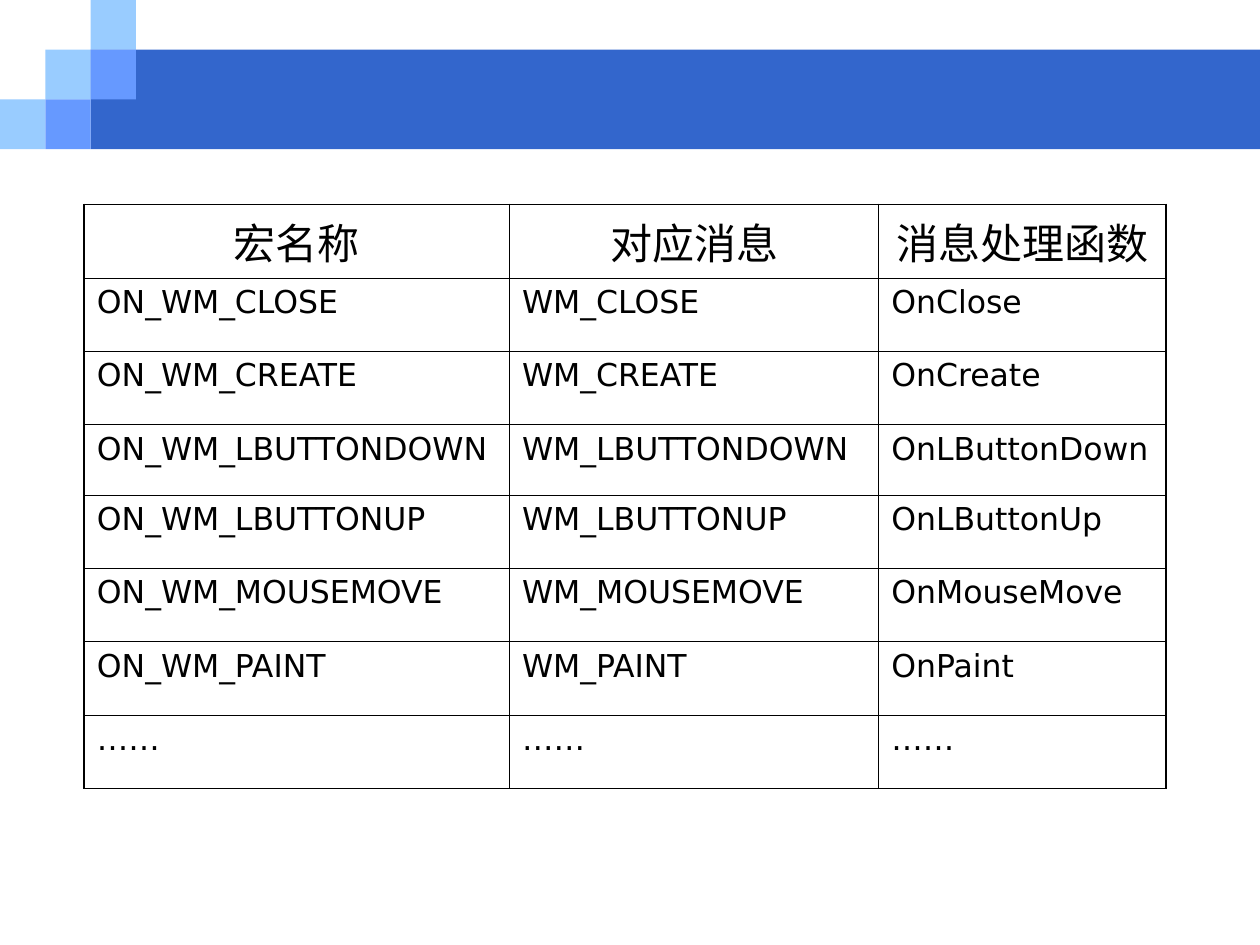
import pptx
import pptx.dml.color
import pptx.enum.shapes
import pptx.enum.text
import pptx.oxml
import pptx.oxml.ns
import pptx.util

Pt = pptx.util.Pt
COLORS = {
    "bar": "3366CC",
    "light": "99CCFF",
    "middle": "6699FF",
    "paper": "FFFFFF",
    "ink": "000000",
}
TILE_WIDTH, TILE_HEIGHT = 25.9, 28.4
THIN, THICK = 0.45, 1.08
COLUMN_WIDTHS = [243, 211, 164.1]
ROW_HEIGHTS = [40.2, 41.9, 41.9, 40.2] + [41.9] * 4
HEADER = ["宏名称", "对应消息", "消息处理函数"]
HANDLERS = ["Close", "Create", "LButtonDown", "LButtonUp", "MouseMove", "Paint"]


class SlideBuilder:
    def __init__(self, slide, font_name):
        self.slide = slide
        self.font_name = font_name

    def color(self, name):
        return pptx.dml.color.RGBColor.from_string(COLORS[name])

    def rectangle(self, left, top, width, height, fill):
        shape = self.slide.shapes.add_shape(
            pptx.enum.shapes.MSO_SHAPE.RECTANGLE,
            Pt(left), Pt(top), Pt(width), Pt(height),
        )
        shape.shadow.inherit = False
        shape.fill.solid()
        shape.fill.fore_color.rgb = self.color(fill)
        shape.line.fill.background()

    def borders(self, cell, widths):
        properties = cell._tc.get_or_add_tcPr()
        namespace = pptx.oxml.ns.nsdecls("a")
        for index, (side, width) in enumerate(widths.items()):
            border = pptx.oxml.parse_xml(
                f'<a:ln{side} {namespace} w="{Pt(width)}"><a:solidFill>'
                f'<a:srgbClr val="{COLORS["ink"]}"/></a:solidFill></a:ln{side}>'
            )
            properties.insert(index, border)

    def cell(self, cell, text, size, alignment):
        cell.fill.solid()
        cell.fill.fore_color.rgb = self.color("paper")
        cell.text_frame.text = text
        paragraph = cell.text_frame.paragraphs[0]
        paragraph.alignment = alignment
        for run in paragraph.runs:
            run.font.name = self.font_name
            run.font.size = Pt(size)
            run.font.color.rgb = self.color("ink")

    def table(self, left, top, column_widths, row_heights, rows):
        shape = self.slide.shapes.add_table(
            len(rows), len(column_widths), Pt(left), Pt(top),
            Pt(sum(column_widths)), Pt(sum(row_heights)),
        )
        table = shape.table
        table.first_row = False
        table.horz_banding = False
        for column, width in zip(table.columns, column_widths):
            column.width = Pt(width)
        for row, height in zip(table.rows, row_heights):
            row.height = Pt(height)
        last_row, last_column = len(rows) - 1, len(column_widths) - 1
        align = pptx.enum.text.PP_ALIGN
        for r, texts in enumerate(rows):
            size, alignment = (18, align.LEFT) if r else (24, align.CENTER)
            for c, text in enumerate(texts):
                cell = table.cell(r, c)
                self.cell(cell, text, size, alignment)
                self.borders(cell, {
                    "L": THICK if c == 0 else THIN,
                    "R": THICK if c == last_column else THIN,
                    "T": THICK if r == 0 else THIN,
                    "B": THICK if r == last_row else THIN,
                })


def main():
    presentation = pptx.Presentation()
    presentation.slide_width = Pt(720)
    presentation.slide_height = Pt(540)
    slide = presentation.slides.add_slide(presentation.slide_layouts[6])
    builder = SlideBuilder(slide, "DejaVu Sans")

    bar_left = 2 * TILE_WIDTH
    builder.rectangle(bar_left, TILE_HEIGHT, 720 - bar_left, 2 * TILE_HEIGHT, "bar")
    tiles = [(0, 2, "light"), (1, 1, "light"), (2, 0, "light"),
             (2, 1, "middle"), (1, 2, "middle")]
    for column, row, fill in tiles:
        builder.rectangle(column * TILE_WIDTH, row * TILE_HEIGHT,
                          TILE_WIDTH, TILE_HEIGHT, fill)

    messages = [[f"ON_WM_{name.upper()}", f"WM_{name.upper()}", f"On{name}"]
                for name in HANDLERS]
    builder.table(48.2, 116.9, COLUMN_WIDTHS, ROW_HEIGHTS,
                  [HEADER] + messages + [["……"] * 3])
    presentation.save("out.pptx")


if __name__ == "__main__":
    main()
